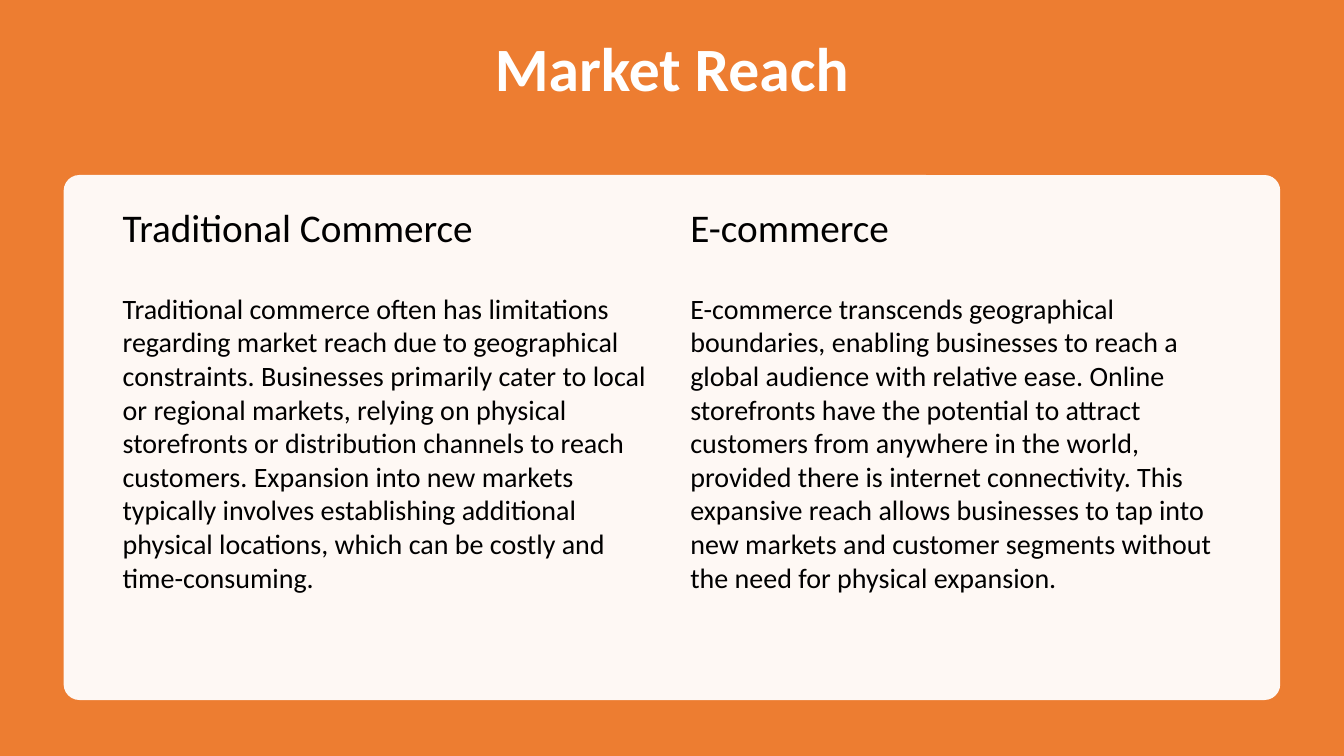
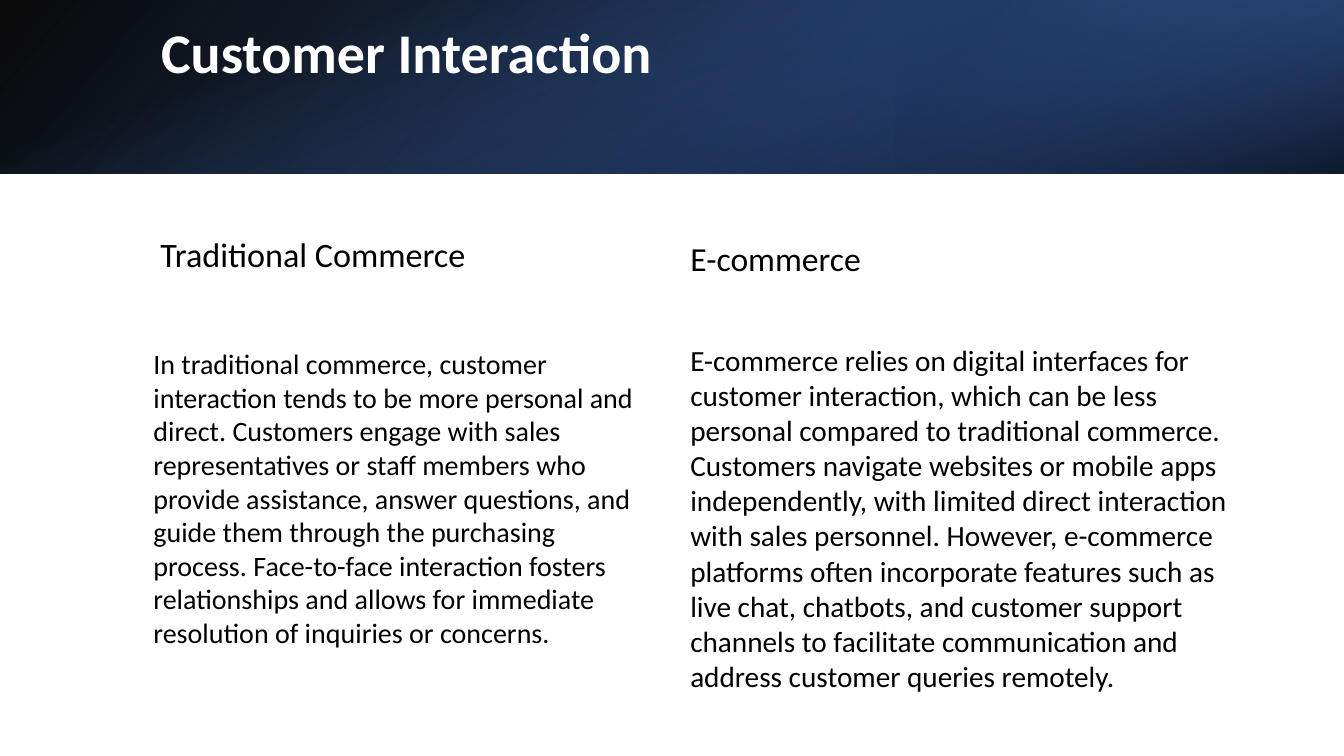
"""Build two slides comparing traditional commerce with e-commerce."""
from dataclasses import dataclass

from lxml.etree import SubElement
from pptx import Presentation
from pptx.dml.color import RGBColor as Color
from pptx.enum.shapes import MSO_SHAPE as Preset
from pptx.enum.text import PP_ALIGN as Align
from pptx.oxml.ns import qn
from pptx.util import Pt

WIDTH, HEIGHT = 960, 540
BAND_HEIGHT = 124
BLANK_LAYOUT = 6


@dataclass(frozen=True)
class Theme:
    font: str = "Calibri"
    white: str = "FFFFFF"
    black: str = "000000"
    orange: str = "ED7D31"
    blue: str = "4472C4"
    deep_blue: str = "2F5597"
    navy: str = "203864"
    title_large: float = 44
    title_small: float = 40
    heading_large: float = 28
    heading_medium: float = 24.4
    heading_small: float = 24
    body_large: float = 20.9
    body: float = 20


class Deck:
    def __init__(self, theme):
        self.theme = theme
        self.presentation = Presentation()
        self.presentation.slide_width = Pt(WIDTH)
        self.presentation.slide_height = Pt(HEIGHT)
        self.slide = None

    def add_slide(self):
        layout = self.presentation.slide_layouts[BLANK_LAYOUT]
        self.slide = self.presentation.slides.add_slide(layout)

    def add_panel(self, box, preset=Preset.RECTANGLE):
        shape = self.slide.shapes.add_shape(preset, *map(Pt, box))
        shape.shadow.inherit = False
        shape.line.fill.background()
        return shape

    def set_opacity(self, shape, *percents):
        colors = list(shape.element.spPr.iter(qn("a:srgbClr")))
        for color, percent in zip(colors, percents):
            if percent < 100:
                SubElement(color, qn("a:alpha")).set("val", str(percent * 1000))

    def add_solid(self, box, color, opacity=100, preset=Preset.RECTANGLE):
        shape = self.add_panel(box, preset)
        shape.fill.solid()
        shape.fill.fore_color.rgb = Color.from_string(color)
        self.set_opacity(shape, opacity)
        return shape

    def add_gradient(self, box, stops, angle, rotation=0, flipped=False):
        shape = self.add_panel(box)
        shape.fill.gradient()
        shape.fill.gradient_angle = 360 - angle
        for stop, (position, color, _) in zip(shape.fill.gradient_stops, stops):
            stop.position = position / 100
            stop.color.rgb = Color.from_string(color)
        self.set_opacity(shape, *(opacity for _, _, opacity in stops))
        shape.rotation = rotation
        if flipped:
            shape.element.spPr.find(qn("a:xfrm")).set("flipH", "1")

    def add_text(self, box, text, size, color=None, bold=False):
        text_box = self.slide.shapes.add_textbox(*map(Pt, box))
        text_box.text_frame.word_wrap = True
        paragraph = text_box.text_frame.paragraphs[0]
        paragraph.text = text
        font = paragraph.runs[0].font
        font.name = self.theme.font
        font.size = Pt(size)
        font.bold = bold
        font.color.rgb = Color.from_string(color or self.theme.black)
        return paragraph

    def add_title(self, box, text, size, align=Align.LEFT):
        paragraph = self.add_text(box, text, size, self.theme.white, bold=True)
        paragraph.alignment = align
        paragraph.line_spacing = 0.9

    def add_copy(self, box, text, size):
        self.add_text(box, text, size).space_after = Pt(6)

    def save(self):
        self.presentation.save("out.pptx")


def build_market_reach(deck):
    theme = deck.theme
    deck.add_slide()
    deck.add_solid((0, 0, WIDTH, HEIGHT), theme.orange)
    deck.add_title((66, 23.7, 828, 60), "Market Reach", theme.title_large, Align.CENTER)
    card = deck.add_solid((45.5, 125, 869, 375), theme.white, 95, Preset.ROUNDED_RECTANGLE)
    card.adjustments[0] = 0.03
    columns = (
        (80.5, 391.5, "Traditional Commerce",
         "Traditional commerce often has limitations regarding market reach due to "
         "geographical constraints. Businesses primarily cater to local or regional "
         "markets, relying on physical storefronts or distribution channels to reach "
         "customers. Expansion into new markets typically involves establishing "
         "additional physical locations, which can be costly and time-consuming."),
        (486, 394, "E-commerce",
         "E-commerce transcends geographical boundaries, enabling businesses to reach "
         "a global audience with relative ease. Online storefronts have the potential "
         "to attract customers from anywhere in the world, provided there is internet "
         "connectivity. This expansive reach allows businesses to tap into new markets "
         "and customer segments without the need for physical expansion."),
    )
    for left, width, heading, body in columns:
        deck.add_copy((left, 142, width, 62.5), heading, theme.heading_large)
        deck.add_copy((left, 204.5, width, 280), body, theme.body)


def build_customer_interaction(deck):
    theme = deck.theme
    deck.add_slide()
    deck.add_gradient((0, 0, WIDTH, BAND_HEIGHT),
                      ((0, theme.black, 96), (100, theme.deep_blue, 100)),
                      140, flipped=True)
    deck.add_gradient((WIDTH * 2 / 3, 0, WIDTH / 3, BAND_HEIGHT),
                      ((19, theme.navy, 68), (100, theme.blue, 79)),
                      320, rotation=180, flipped=True)
    offset = (WIDTH - BAND_HEIGHT) / 2
    deck.add_gradient((offset, -offset, BAND_HEIGHT, WIDTH),
                      ((23, theme.blue, 0), (99, theme.black, 74)),
                      340, rotation=90)
    deck.add_title((108, 14.4, 790, 55), "Customer Interaction", theme.title_small)
    deck.add_copy((107.5, 163, 357, 57), "Traditional Commerce", theme.heading_medium)
    deck.add_copy(
        (102.5, 244, 357, 255),
        "In traditional commerce, customer interaction tends to be more personal and "
        "direct. Customers engage with sales representatives or staff members who "
        "provide assistance, answer questions, and guide them through the purchasing "
        "process. Face-to-face interaction fosters relationships and allows for "
        "immediate resolution of inquiries or concerns.",
        theme.body)
    deck.add_copy((486, 166.5, 358.5, 57), "E-commerce", theme.heading_small)
    deck.add_copy(
        (486, 241, 401, 255),
        "E-commerce relies on digital interfaces for customer interaction, which can be "
        "less personal compared to traditional commerce. Customers navigate websites or "
        "mobile apps independently, with limited direct interaction with sales "
        "personnel. However, e-commerce platforms often incorporate features such as "
        "live chat, chatbots, and customer support channels to facilitate communication "
        "and address customer queries remotely.",
        theme.body_large)


def main():
    deck = Deck(Theme())
    build_market_reach(deck)
    build_customer_interaction(deck)
    deck.save()


if __name__ == "__main__":
    main()
